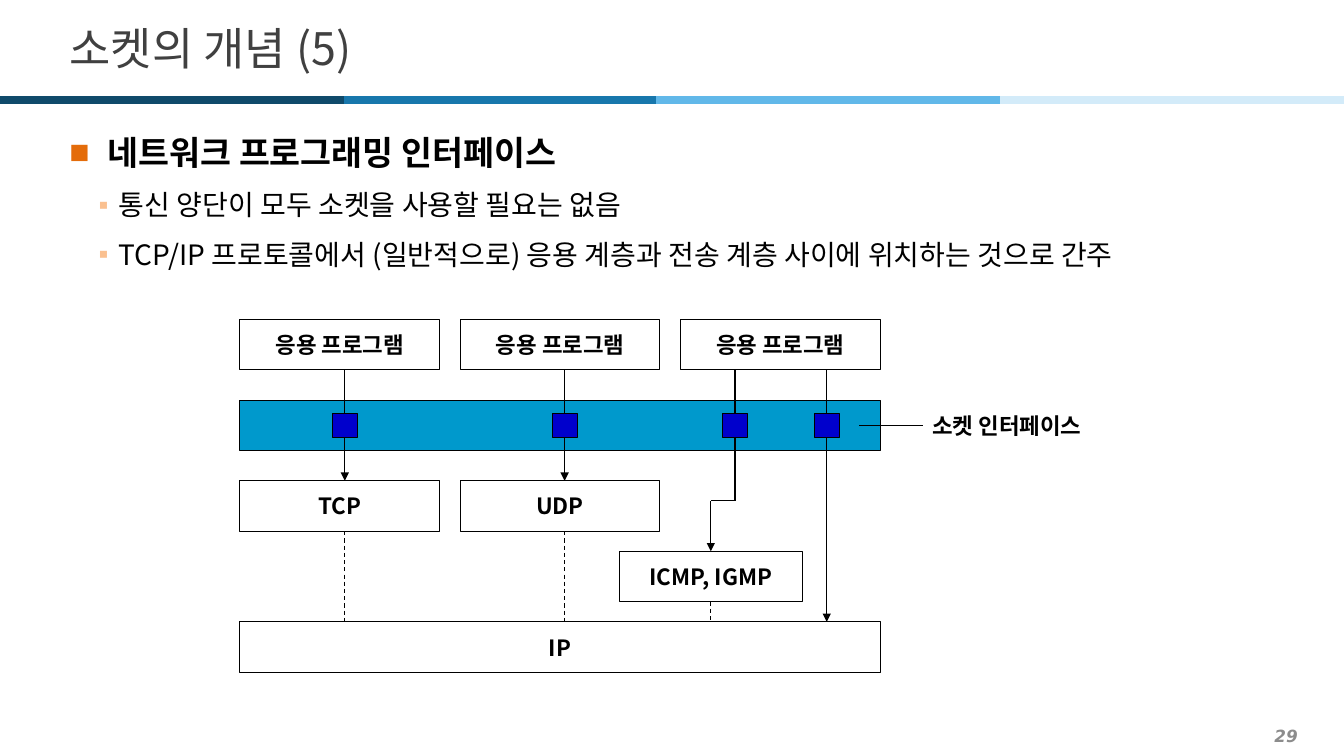
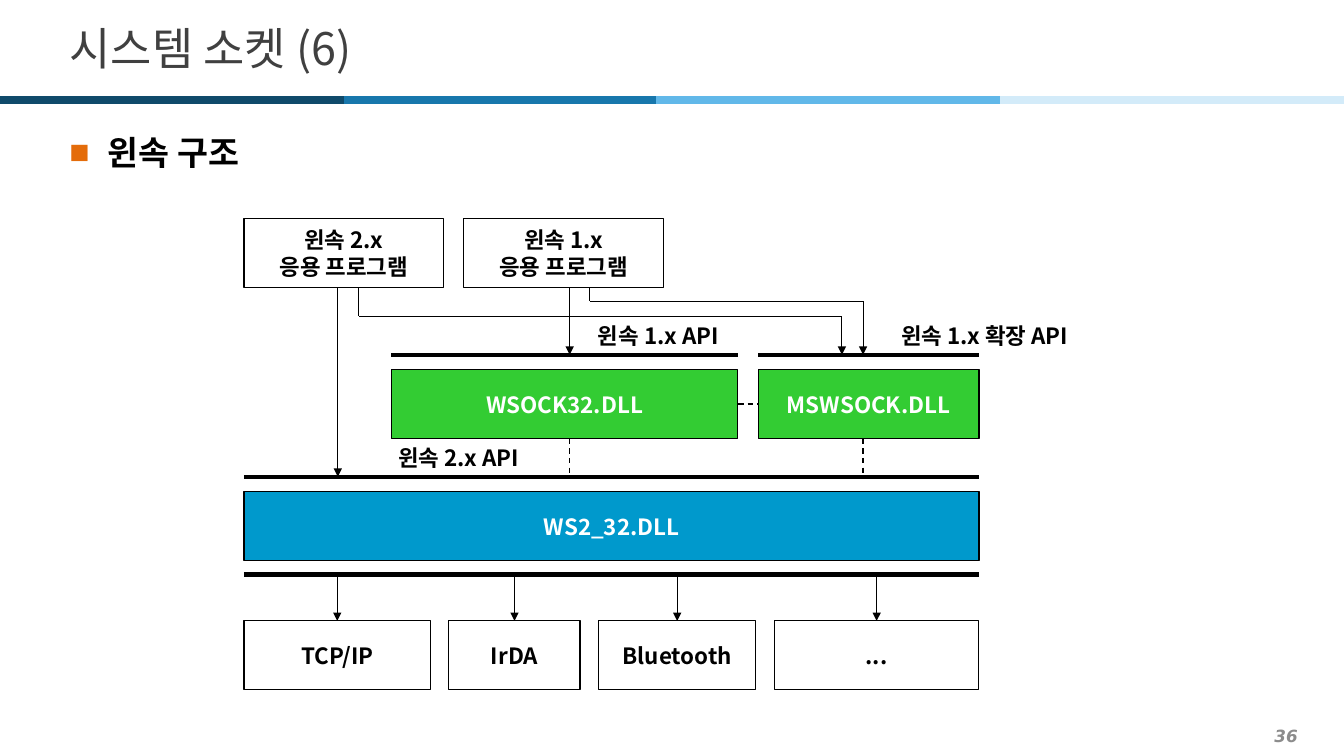
from dataclasses import dataclass

from lxml import etree
from pptx import Presentation
from pptx.dml.color import RGBColor
from pptx.enum.dml import MSO_LINE
from pptx.enum.shapes import MSO_CONNECTOR, MSO_SHAPE
from pptx.enum.text import MSO_ANCHOR, MSO_AUTO_SIZE, PP_ALIGN
from pptx.oxml.ns import qn
from pptx.util import Inches, Pt

STRAIGHT = MSO_CONNECTOR.STRAIGHT
RECTANGLE = MSO_SHAPE.RECTANGLE
DASH = MSO_LINE.DASH
MIDDLE, TOP_ANCHOR = MSO_ANCHOR.MIDDLE, MSO_ANCHOR.TOP
LEFT, CENTER, RIGHT = PP_ALIGN.LEFT, PP_ALIGN.CENTER, PP_ALIGN.RIGHT
TOP_SIDE, LEFT_SIDE, BOTTOM_SIDE, RIGHT_SIDE = range(4)
TITLE_ONLY = 5


@dataclass(frozen=True)
class Theme:
    font: str = "Noto Sans CJK KR"
    heading_font: str = "Arial"
    number_font: str = "DejaVu Sans"
    title_size: int = 32
    heading_size: int = 24
    body_size: int = 20
    label_size: int = 16
    number_size: int = 12
    black: str = "000000"
    white: str = "FFFFFF"
    title: str = "404040"
    number: str = "8C8C8C"
    heading_bullet: str = "E46C0A"
    body_bullet: str = "FAC090"
    blue: str = "0099CC"
    socket: str = "0000CC"
    green: str = "33CC33"
    band: tuple = ("0F4A6B", "1877AC", "61B8E9", "D3EBF9")
    thin: float = 0.75
    medium: float = 1
    thick: float = 3
    band_width: float = 6


THEME = Theme()


@dataclass(frozen=True)
class Box:
    left: float
    top: float
    width: float
    height: float

    def lengths(self):
        return [Inches(value) for value in (self.left, self.top, self.width, self.height)]


PAGE = Box(0, 0, 13.33, 7.5)
TITLE_BOX = Box(0.59, 0.13, 12.21, 0.68)
BODY_BOX = Box(0.59, 1.18, 12.21, 6.03)
NUMBER_BOX = Box(0.2, 7.14, 12.77, 0.31)
BAND_TOP = 0.99
BAND_STOPS = (0, 3.41, 6.51, 9.92, PAGE.width)


def style_paragraph(paragraph, size, color, font=THEME.font, bold=False, italic=False):
    for run in paragraph.runs:
        run.font.size = Pt(size)
        run.font.bold = bold
        run.font.italic = italic
        run.font.color.rgb = RGBColor.from_string(color)
        run.font.name = font
        etree.SubElement(run.font._element, qn("a:ea"), typeface=THEME.font)


def write(shape, text, size, color, align=CENTER, wrap=False, **style):
    frame = shape.text_frame
    frame.text = text
    frame.word_wrap = wrap
    frame.auto_size = MSO_AUTO_SIZE.NONE
    frame.vertical_anchor = MIDDLE
    for paragraph in frame.paragraphs:
        paragraph.alignment = align
        style_paragraph(paragraph, size, color, **style)


def draw_line(slide, start, end, width=THEME.thin, color=THEME.black, dashed=False, arrow=False):
    connector = slide.shapes.add_connector(
        STRAIGHT, *[Inches(value) for value in (*start, *end)])
    connector.line.width = Pt(width)
    connector.line.color.rgb = RGBColor.from_string(color)
    if dashed:
        connector.line.dash_style = DASH
    properties = connector._element.spPr
    if arrow:
        etree.SubElement(properties.find(qn("a:ln")), qn("a:tailEnd"), type="triangle")
    etree.SubElement(properties, qn("a:effectLst"))
    return connector


@dataclass(frozen=True)
class Diagram:
    """Draws parts at positions relative to the top left of its box."""
    slide: object
    box: Box

    def place(self, left, top, width, height):
        return Box(self.box.left + left, self.box.top + top, width, height).lengths()

    def rectangle(self, left, top, width, height, text="", fill=None):
        shape = self.slide.shapes.add_shape(RECTANGLE, *self.place(left, top, width, height))
        shape.shadow.inherit = False
        shape.line.width = Pt(THEME.thin)
        shape.line.color.rgb = RGBColor.from_string(THEME.black)
        if fill:
            shape.fill.solid()
            shape.fill.fore_color.rgb = RGBColor.from_string(fill)
        else:
            shape.fill.background()
        if text:
            write(shape, text, THEME.label_size, THEME.white if fill else THEME.black, bold=True)
        return shape

    def label(self, left, top, width, height, text, align=CENTER):
        shape = self.slide.shapes.add_textbox(*self.place(left, top, width, height))
        write(shape, text, THEME.label_size, THEME.black, align, bold=True)
        return shape

    def route(self, *points, arrow=False, **style):
        """Draws straight segments through the points and returns the last one."""
        points = [(self.box.left + x, self.box.top + y) for x, y in points]
        last = len(points) - 2
        for index, (start, end) in enumerate(zip(points, points[1:])):
            segment = draw_line(self.slide, start, end,
                                arrow=arrow and index == last, **style)
        return segment


def add_bullet(paragraph, character, color, margin, indent):
    properties = paragraph._p.get_or_add_pPr()
    properties.set("marL", str(Inches(margin)))
    properties.set("indent", str(Inches(indent)))
    bullet_color = etree.SubElement(properties, qn("a:buClr"))
    etree.SubElement(bullet_color, qn("a:srgbClr"), val=color)
    etree.SubElement(properties, qn("a:buFont"), typeface=THEME.heading_font)
    etree.SubElement(properties, qn("a:buChar"), char=character)


def add_body(slide, box, heading, points):
    frame = slide.shapes.add_textbox(*box.lengths()).text_frame
    frame.text = "\n".join((heading, *points))
    frame.word_wrap = True
    frame.vertical_anchor = TOP_ANCHOR
    first, *others = frame.paragraphs
    add_bullet(first, "■", THEME.heading_bullet, 0.38, -0.38)
    first.line_spacing = 1.2
    first.space_after = Pt(2)
    style_paragraph(first, THEME.heading_size, THEME.black, THEME.heading_font, bold=True)
    for paragraph in others:
        add_bullet(paragraph, "▪", THEME.body_bullet, 0.49, -0.2)
        paragraph.line_spacing = 1.3
        paragraph.space_before = paragraph.space_after = Pt(2)
        style_paragraph(paragraph, THEME.body_size, THEME.black)


def add_slide(presentation, title, number, heading, points=()):
    slide = presentation.slides.add_slide(presentation.slide_layouts[TITLE_ONLY])
    for start, end, color in zip(BAND_STOPS, BAND_STOPS[1:], THEME.band):
        draw_line(slide, (start, BAND_TOP), (end, BAND_TOP), THEME.band_width, color)
    placeholder = slide.shapes.title
    placeholder.left, placeholder.top, placeholder.width, placeholder.height = TITLE_BOX.lengths()
    write(placeholder, title, THEME.title_size, THEME.title, LEFT, wrap=True)
    number_box = slide.shapes.add_textbox(*NUMBER_BOX.lengths())
    write(number_box, str(number), THEME.number_size, THEME.number, RIGHT, wrap=True,
          font=THEME.number_font, bold=True, italic=True)
    add_body(slide, BODY_BOX, heading, points)
    return slide


def add_socket_diagram(slide, box):
    diagram = Diagram(slide, box)
    row, column = 0.5, 1.98
    pitch = (box.width - column) / 2
    band_top, transport_top, control_top, ip_top = 0.8, 1.6, 2.3, 3
    ports = (1.04, 3.22, 4.91, 5.82)
    port_width, port_height = 0.25, 0.24

    for index in range(3):
        diagram.rectangle(index * pitch, 0, column, row, "응용 프로그램")
    diagram.rectangle(0, band_top, box.width, row, fill=THEME.blue)
    for index, protocol in enumerate(("TCP", "UDP")):
        diagram.rectangle(index * pitch, transport_top, column, row, protocol)
    control_left, control_width = 3.76, 1.82
    control = diagram.rectangle(control_left, control_top, control_width, row, "ICMP, IGMP")
    diagram.rectangle(0, ip_top, box.width, row, "IP")

    for x in ports[:2]:
        diagram.route((x, row), (x, transport_top), arrow=True)
        diagram.route((x, transport_top + row), (x, ip_top), dashed=True)
    control_x, bend = control_left + control_width / 2, 1.8
    to_control = diagram.route((ports[2], row), (ports[2], bend), (control_x, bend),
                               (control_x, control_top), arrow=True)
    to_control.end_connect(control, TOP_SIDE)
    to_ip = diagram.route((control_x, control_top + row), (control_x, ip_top), dashed=True)
    to_ip.begin_connect(control, BOTTOM_SIDE)
    diagram.route((ports[3], row), (ports[3], ip_top), arrow=True)
    for x in ports:
        diagram.rectangle(x - port_width / 2, band_top + (row - port_height) / 2,
                          port_width, port_height, fill=THEME.socket)

    label = diagram.label(6.77, band_top, 1.77, row, "소켓 인터페이스", LEFT)
    middle = band_top + row / 2
    diagram.route((6.14, middle), (6.77, middle)).end_connect(label, LEFT_SIDE)


def add_library_diagram(slide, box):
    diagram = Diagram(slide, box)
    row, column = 0.68, 1.98
    api_top, library_top = 1.35, 1.5
    core_api, core_top, core_bottom, transport_top = 2.56, 2.71, 3.53, 3.99
    base_x, extension_x = 3.23, 6.14

    for left, version in ((0, "2.x"), (2.18, "1.x")):
        diagram.rectangle(left, 0, column, row, f"윈속 {version}\n응용 프로그램")
    libraries = []
    for left, width, name, x in ((1.46, 3.44, "WSOCK32.DLL", base_x),
                                 (5.1, 2.19, "MSWSOCK.DLL", extension_x)):
        libraries.append(diagram.rectangle(left, library_top, width, row, name, THEME.green))
        diagram.route((left, api_top), (left + width, api_top), width=THEME.thick)
        diagram.route((x, library_top + row), (x, core_api), width=THEME.medium, dashed=True)
    middle = library_top + row / 2
    library_link = diagram.route((4.9, middle), (5.1, middle), width=THEME.medium, dashed=True)
    library_link.begin_connect(libraries[0], RIGHT_SIDE)
    library_link.end_connect(libraries[1], LEFT_SIDE)

    diagram.rectangle(0, core_top, box.width, row, "WS2_32.DLL", THEME.blue)
    for y in (core_api, core_bottom):
        diagram.route((0, y), (box.width, y), width=THEME.thick)
    for x, end in ((0.93, core_api), (base_x, api_top)):
        diagram.route((x, row), (x, end), width=THEME.medium, arrow=True)
    for start, bend, end in ((1.14, 0.97, 5.93), (3.43, 0.82, extension_x)):
        diagram.route((start, row), (start, bend), (end, bend), (end, api_top), arrow=True)

    for left, top, width, text in ((3.12, 0.82, column, "윈속 1.x API"),
                                   (1.14, 2.03, column, "윈속 2.x API"),
                                   (6.25, 0.82, 2.19, "윈속 1.x 확장 API")):
        diagram.label(left, top, width, row, text)

    transports = (("TCP/IP", 1.85), ("IrDA", 1.3), ("Bluetooth", 1.56), ("...", 2.03))
    gap = (box.width - sum(width for _, width in transports)) / (len(transports) - 1)
    left = 0
    for name, width in transports:
        transport = diagram.rectangle(left, transport_top, width, row, name)
        x = left + width / 2
        arrow = diagram.route((x, core_bottom), (x, transport_top),
                              width=THEME.medium, arrow=True)
        arrow.end_connect(transport, TOP_SIDE)
        left += width + gap


def main():
    presentation = Presentation()
    presentation.slide_width = Inches(PAGE.width)
    presentation.slide_height = Inches(PAGE.height)
    concept = add_slide(
        presentation, "소켓의 개념 (5)", 29, "네트워크 프로그래밍 인터페이스",
        ("통신 양단이 모두 소켓을 사용할 필요는 없음",
         "TCP/IP 프로토콜에서 (일반적으로) 응용 계층과 전송 계층 사이에 위치하는 것으로 간주"))
    add_socket_diagram(concept, Box(2.38, 3.17, 6.35, 3.5))
    structure = add_slide(presentation, "시스템 소켓 (6)", 36, "윈속 구조")
    add_library_diagram(structure, Box(2.42, 2.17, 7.29, 4.67))
    presentation.save("out.pptx")


if __name__ == "__main__":
    main()
